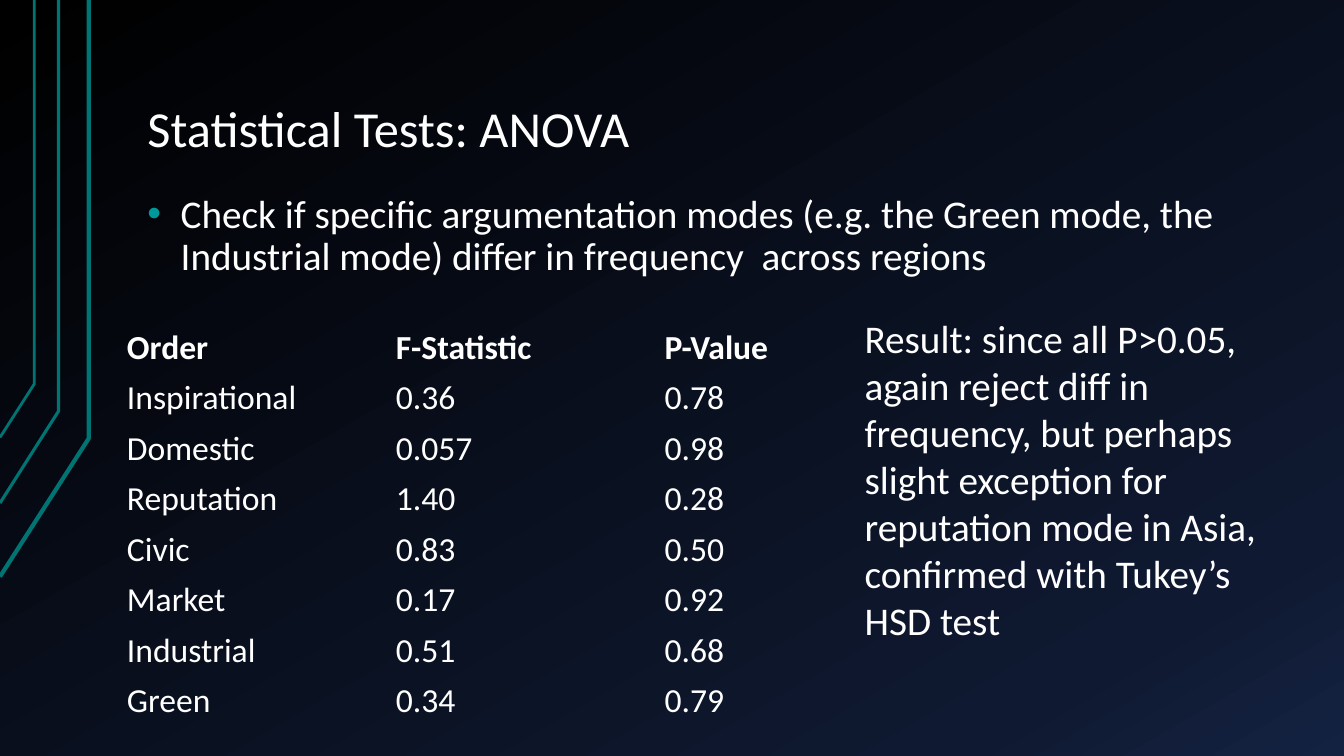
from copy import deepcopy

from pptx import Presentation
from pptx.dml.color import RGBColor as Rgb
from pptx.enum.text import MSO_ANCHOR as Anchor
from pptx.oxml import parse_xml
from pptx.oxml.ns import nsdecls, qn
from pptx.util import Inches, Pt

COLORS = {"text": "FFFFFF", "line": "007373", "bullet": "009999"}
BACKDROP = [(0, "000000"), (0.85, "0F1931"), (1, "142242")]
FONT = "Calibri"

# The grid has 40 columns and 30 rows
WIDTH, HEIGHT = Inches(13.333), Inches(7.5)
COLUMNS, ROWS = 40, 30

# Bent lines: column of the upright, row of the bend, row at the left edge, points
BENT_LINES = [(2.64, 17.4, 22.88, 3), (1.74, 16.32, 19.96, 2.25), (1.02, 15.24, 17.36, 2)]

ANOVA = [
    ("Order", "F-Statistic", "P-Value"),
    ("Inspirational", "0.36", "0.78"),
    ("Domestic", "0.057", "0.98"),
    ("Reputation", "1.40", "0.28"),
    ("Civic", "0.83", "0.50"),
    ("Market", "0.17", "0.92"),
    ("Industrial", "0.51", "0.68"),
    ("Green", "0.34", "0.79"),
]
NO_GRID_STYLE = "{2D5ABB26-0587-4C30-8999-92F81FD0307C}"


def across(columns):
    return round(WIDTH * columns / COLUMNS)


def down(rows):
    return round(HEIGHT * rows / ROWS)


def place(left, top, width, height):
    return across(left), down(top), across(width), down(height)


def style(para, size, bold=False):
    font = para.font
    font.name, font.size, font.bold = FONT, Pt(size), bold
    font.color.rgb = Rgb.from_string(COLORS["text"])


def paint_background(page):
    fill = page.background.fill
    fill.gradient()
    fill.gradient_angle = 300
    stop_list = page.element.find(".//" + qn("a:gsLst"))
    stop_list.append(deepcopy(stop_list[-1]))
    for stop, (position, color) in zip(fill.gradient_stops, BACKDROP):
        stop.position = position
        stop.color.rgb = Rgb.from_string(color)


def add_bent_line(page, column, bend, end, weight):
    builder = page.shapes.build_freeform(0, down(end))
    corners = [(across(column), down(bend)), (across(column), 0)]
    builder.add_line_segments(corners, close=False)
    line = builder.convert_to_shape()
    line.shadow.inherit = False
    line.fill.background()
    line.line.color.rgb = Rgb.from_string(COLORS["line"])
    line.line.width = Pt(weight)


def add_text(page, area, text, size, anchor=Anchor.TOP, spacing=None, side=0.1, edge=0.05):
    frame = page.shapes.add_textbox(*place(*area)).text_frame
    frame.word_wrap = True
    frame.vertical_anchor = anchor
    frame.margin_left = frame.margin_right = Inches(side)
    frame.margin_top = frame.margin_bottom = Inches(edge)
    para = frame.paragraphs[0]
    para.text = text
    para.line_spacing = spacing
    style(para, size)
    return para


def add_bullet(para):
    props = para._p.get_or_add_pPr()
    props.set("marL", str(Inches(0.33)))
    props.set("indent", str(-Inches(0.33)))
    color = f'<a:buClr {nsdecls("a")}><a:srgbClr val="{COLORS["bullet"]}"/></a:buClr>'
    font = f'<a:buFont {nsdecls("a")} typeface="Arial"/>'
    mark = f'<a:buChar {nsdecls("a")} char="•"/>'
    for xml in (color, font, mark):
        props.append(parse_xml(xml))


def add_results_table(page, area, rows):
    frame = page.shapes.add_table(len(rows), len(rows[0]), *place(*area))
    table = frame.table
    table.horz_banding = table.first_row = False
    frame.element.find(".//" + qn("a:tableStyleId")).text = NO_GRID_STYLE
    for row, values in enumerate(rows):
        for column, value in enumerate(values):
            cell = table.cell(row, column)
            cell.fill.background()
            cell.vertical_anchor = Anchor.MIDDLE
            cell.text = value
            style(cell.text_frame.paragraphs[0], 24, bold=row == 0)


def main():
    deck = Presentation()
    deck.slide_width, deck.slide_height = WIDTH, HEIGHT
    page = deck.slides.add_slide(deck.slide_layouts[6])

    # Backdrop
    paint_background(page)
    for bent_line in BENT_LINES:
        add_bent_line(page, *bent_line)

    # Title and aim of the test
    insets = {"spacing": 0.9, "side": 0.13, "edge": 0.07}
    add_text(page, (4, 1.2, 34, 5.36), "Statistical Tests: ANOVA", 36, Anchor.BOTTOM, **insets)
    aim = add_text(
        page, (4, 7.44, 34, 19.52),
        "Check if specific argumentation modes (e.g. the Green mode, the "
        "Industrial mode) differ in frequency  across regions", 28, **insets)
    add_bullet(aim)

    # Test values and result
    add_results_table(page, (3.48, 12.8, 24, 16), ANOVA)
    add_text(
        page, (25.44, 12.28, 13, 13.6),
        "Result: since all P>0.05, again reject diff in frequency, but perhaps "
        "slight exception for reputation mode in Asia, confirmed with Tukey’s HSD test", 28)

    deck.save("out.pptx")


if __name__ == "__main__":
    main()
